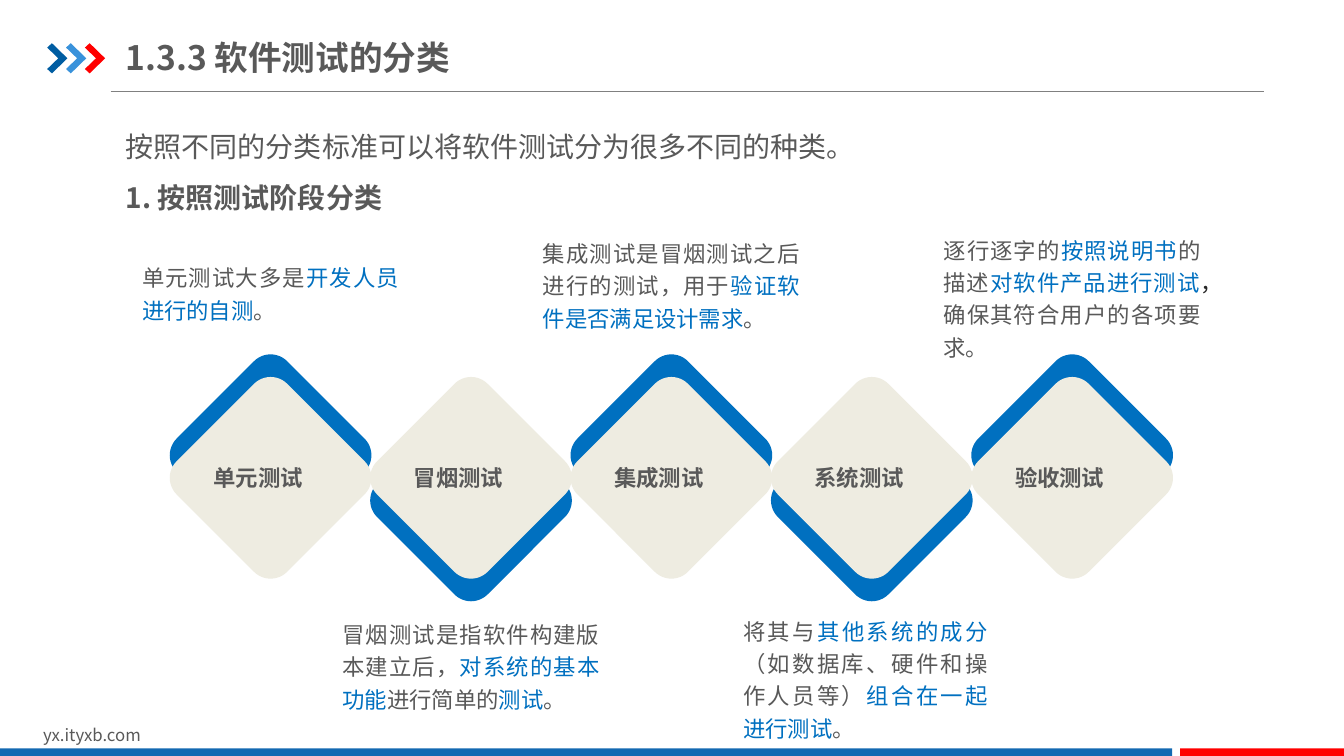
from dataclasses import dataclass

import pptx
import pptx.dml.color
import pptx.enum.shapes
import pptx.enum.text
import pptx.oxml.ns
import pptx.util
from lxml import etree

Cm = pptx.util.Cm
Shapes = pptx.enum.shapes.MSO_SHAPE
Anchor = pptx.enum.text.MSO_ANCHOR
Align = pptx.enum.text.PP_ALIGN
qn = pptx.oxml.ns.qn


@dataclass(frozen=True)
class Theme:
    font: str = "Noto Sans CJK SC"
    grey: str = "595959"
    dark: str = "262626"
    accent: str = "0070C0"
    cream: str = "EEECE1"
    rule: str = "808080"
    footer: str = "1369B2"
    red: str = "FF0000"
    chevrons: tuple = ("005DA2", "3992DB", "FF0000")
    title_size: int = 24
    lead_size: int = 20
    body_size: int = 16
    address_size: int = 12


THEME = Theme()

# Label, note above the diamond, note top, note width, note spans.
# A span with a colour is a pair.
STAGES = [
    ("单元测试", True, 6.53, 6.48,
     ["单元测试大多是", ("开发人员进行的自测", THEME.accent), "。"]),
    ("冒烟测试", False, 15.52, 6.48,
     ["冒烟测试是指软件构建版本建立后，", ("对系统的基本功能", THEME.accent),
      "进行简单的", ("测试", THEME.accent), "。"]),
    ("集成测试", True, 5.92, 6.48,
     ["集成测试是冒烟测试之后进行的测试，用于",
      ("验证软件是否满足设计需求", THEME.accent), "。"]),
    ("系统测试", False, 15.44, 6.17,
     ["将其与", ("其他系统的成分", THEME.accent), "（如数据库、硬件和操作人员等）",
      ("组合在一起进行测试", THEME.accent), "。"]),
    ("验收测试", True, 5.84, 6.48,
     ["逐行逐字的", ("按照说明书", THEME.accent), "的描述",
      ("对软件产品进行测试", THEME.accent), ("，", THEME.dark),
      "确保其符合用户的各项要求。"]),
]


def rgb(value):
    return pptx.dml.color.RGBColor.from_string(value)


def paint(shape, color):
    shape.shadow.inherit = False
    shape.fill.solid()
    shape.fill.fore_color.rgb = rgb(color)
    shape.line.fill.background()


def add_block(page, kind, left, top, width, height, color):
    shape = page.shapes.add_shape(kind, Cm(left), Cm(top), Cm(width), Cm(height))
    paint(shape, color)
    return shape


def add_text_box(page, left, top, width, height, anchor=Anchor.TOP, insets=(0.25, 0.13)):
    """Return the frame of a wrapping text box; insets are side and top/bottom."""
    box = page.shapes.add_textbox(Cm(left), Cm(top), Cm(width), Cm(height))
    frame = box.text_frame
    frame.word_wrap = True
    frame.vertical_anchor = anchor
    frame.margin_left = frame.margin_right = Cm(insets[0])
    frame.margin_top = frame.margin_bottom = Cm(insets[1])
    return frame


def write(para, spans, size, bold=False, align=Align.LEFT, spacing=1.0):
    para.alignment = align
    para.line_spacing = spacing
    font = para.font
    font.size = pptx.util.Pt(size)
    font.bold = bold
    font.name = THEME.font
    font.color.rgb = rgb(THEME.grey)
    east_asian = etree.SubElement(para._p.pPr.find(qn("a:defRPr")), qn("a:ea"))
    east_asian.set("typeface", THEME.font)
    for span in spans:
        text, color = span if isinstance(span, tuple) else (span, None)
        run = para.add_run()
        run.text = text
        if color:
            run.font.color.rgb = rgb(color)


def add_header(page, left, top, width):
    outline = [(0, 11), (12, 0), (51, 38), (12, 76), (0, 65), (28, 38)]
    for index, color in enumerate(THEME.chevrons):
        builder = page.shapes.build_freeform(*outline[0], scale=Cm(1) / 100)
        builder.add_line_segments(outline[1:], close=True)
        chevron = builder.convert_to_shape(Cm(left + 0.475 * index), Cm(top + 0.35))
        paint(chevron, color)

    rule_top = Cm(top + 1.57)
    rule = page.shapes.add_connector(
        pptx.enum.shapes.MSO_CONNECTOR.STRAIGHT,
        Cm(left + 1.6), rule_top, Cm(left + width), rule_top)
    rule.line.color.rgb = rgb(THEME.rule)
    rule.line.width = pptx.util.Pt(0.75)
    etree.SubElement(rule._element.spPr, qn("a:effectLst"))

    title = add_text_box(page, left + 1.98, top, 10.82, 1.4, Anchor.MIDDLE, (0, 0.18))
    write(title.paragraphs[0], ["1.3.3 软件测试的分类"], THEME.title_size, bold=True)


def add_lead(page, left, top, width, height):
    frame = add_text_box(page, left, top, width, height)
    write(frame.paragraphs[0], ["按照不同的分类标准可以将软件测试分为很多不同的种类。"],
          THEME.lead_size, align=Align.JUSTIFY, spacing=1.5)
    write(frame.add_paragraph(), ["1. 按照测试阶段分类"],
          THEME.lead_size, bold=True, align=Align.JUSTIFY, spacing=1.5)


def add_stage(page, left, top, side, stage):
    """Draw a diamond with a blue edge, its label and its note."""
    label, above, note_top, note_width, spans = stage
    edge_shift = -0.57 if above else 0.57
    for shift, color in ((edge_shift, THEME.accent), (0, THEME.cream)):
        diamond = add_block(page, Shapes.ROUNDED_RECTANGLE,
                            left, top + shift, side, side, color)
        diamond.adjustments[0] = 0.15
        diamond.rotation = 315 if above else 135

    frame = add_text_box(page, left + 0.28, top + 1.59, 3.35, 0.74, Anchor.MIDDLE)
    write(frame.paragraphs[0], [label], THEME.body_size, bold=True)

    lines = 3.28 if len(spans) > 5 else 2.46
    note = add_text_box(page, left - 1.27, note_top, note_width, lines, insets=(0, 0))
    write(note.paragraphs[0], spans, THEME.body_size, align=Align.JUSTIFY, spacing=1.2)


def add_stages(page, left, top, pitch, side):
    for index, stage in enumerate(STAGES):
        add_stage(page, left + pitch * index, top, side, stage)


def add_footer(page, top, width):
    frame = add_text_box(page, 0.84, top - 0.73, 8.08, 0.76)
    write(frame.paragraphs[0], ["yx.ityxb.com"], THEME.address_size)
    split = 29.54
    gap = 0.2
    add_block(page, Shapes.RECTANGLE, 0, top, split, 0.2, THEME.footer)
    add_block(page, Shapes.RECTANGLE, split + gap, top, width - split - gap, 0.2, THEME.red)


def main():
    deck = pptx.Presentation()
    deck.slide_width, deck.slide_height = Cm(33.87), Cm(19.05)
    page = deck.slides.add_slide(deck.slide_layouts[6])
    add_header(page, left=1.19, top=0.74, width=30.66)
    add_footer(page, top=18.86, width=33.87)
    add_lead(page, left=2.92, top=2.72, width=27.91, height=3.07)
    add_stages(page, left=4.85, top=10.07, pitch=5.05, side=3.94)
    deck.save("out.pptx")


if __name__ == "__main__":
    main()
